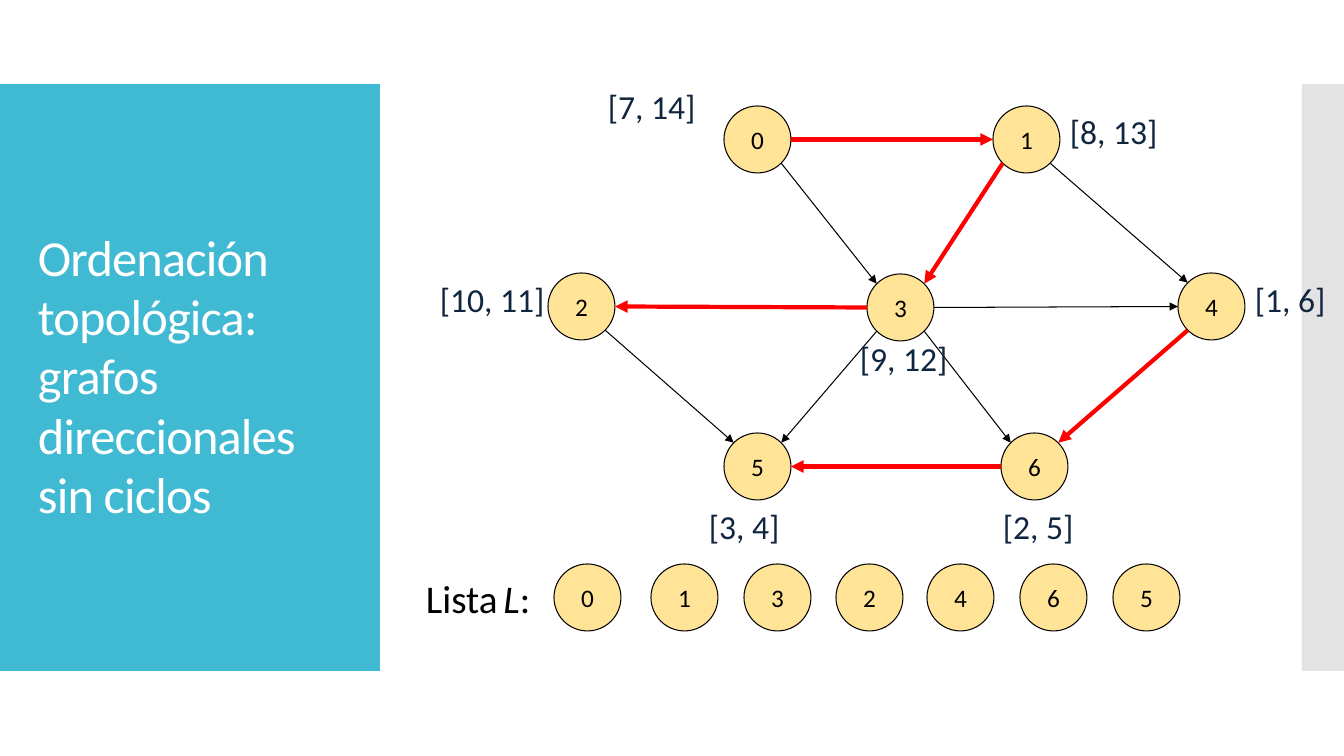
from pptx import Presentation
from pptx.dml.color import RGBColor
from pptx.enum.shapes import MSO_CONNECTOR, MSO_SHAPE
from pptx.enum.text import MSO_ANCHOR, PP_ALIGN
from pptx.oxml.ns import qn
from pptx.util import Pt
from lxml import etree

RECTANGLE, OVAL = MSO_SHAPE.RECTANGLE, MSO_SHAPE.OVAL
STRAIGHT = MSO_CONNECTOR.STRAIGHT
MIDDLE, CENTER = MSO_ANCHOR.MIDDLE, PP_ALIGN.CENTER

TEAL = RGBColor(0x40, 0xBA, 0xD2)
GRAY = RGBColor(0xC8, 0xC8, 0xC8)
YELLOW = RGBColor(0xFF, 0xE4, 0x97)
NAVY = RGBColor(0x10, 0x25, 0x3F)
RED = RGBColor(0xFF, 0x00, 0x00)
BLACK = RGBColor(0x00, 0x00, 0x00)
WHITE = RGBColor(0xFF, 0xFF, 0xFF)

FONT = "Calibri"
PX_PER_INCH = 100.8
DIAMETER = 67
NODES = {0: (294, 25), 1: (563, 25), 2: (118, 192), 3: (437, 193),
         4: (748, 192), 5: (294, 352), 6: (571, 352)}
INTERVALS = {0: ("[7, 14]", 168, 0), 1: ("[8, 13]", 630, 25),
             2: ("[10, 11]", 0, 193), 3: ("[9, 12]", 420, 252),
             4: ("[1, 6]", 815, 193), 5: ("[3, 4]", 269, 420),
             6: ("[2, 5]", 563, 420)}
TREE_EDGES = [(0, 1), (1, 3), (3, 2), (4, 6), (6, 5)]
OTHER_EDGES = [(0, 3), (3, 4), (3, 5), (3, 6), (1, 4), (2, 5)]
SORTED_NODES = {0: 127, 1: 224, 3: 317, 2: 409, 4: 500, 6: 593, 5: 686}


def px(*lengths):
    """Turn pixel lengths into EMU."""
    return [round(length * 914400 / PX_PER_INCH) for length in lengths]


def add_span(para, text, **formats):
    """Add a run with the given font values."""
    span = para.add_run()
    span.text = text
    color = formats.pop("color")
    for name, value in {"name": FONT, **formats}.items():
        setattr(span.font, name, value)
    span.font.color.rgb = color
    return span


def add_text_box(page, box, wrap):
    """Add an empty text box and return its frame."""
    frame = page.shapes.add_textbox(*px(*box)).text_frame
    frame.word_wrap = wrap
    return frame


def add_panel(page, box, color, opacity=100):
    """Add a plain rectangle without outline."""
    panel = page.shapes.add_shape(RECTANGLE, *px(*box))
    panel.shadow.inherit = False
    panel.fill.solid()
    panel.fill.fore_color.rgb = color
    panel.line.fill.background()
    if opacity < 100:
        tint = panel.fill._xPr.find(".//" + qn("a:srgbClr"))
        etree.SubElement(tint, qn("a:alpha"), val=str(opacity * 1000))


def add_node(page, left, top, number):
    """Add a numbered circle."""
    node = page.shapes.add_shape(OVAL, *px(left, top, DIAMETER, DIAMETER))
    node.shadow.inherit = False
    node.fill.solid()
    node.fill.fore_color.rgb = YELLOW
    node.line.color.rgb = BLACK
    node.line.width = Pt(0.75)
    frame = node.text_frame
    frame.word_wrap = False
    frame.vertical_anchor = MIDDLE
    para = frame.paragraphs[0]
    para.alignment = CENTER
    add_span(para, str(number), size=Pt(18), color=BLACK)


def edge_ends(start, end):
    """Find where an edge leaves one circle and meets the next."""
    radius = DIAMETER / 2
    dx, dy = end[0] - start[0], end[1] - start[1]
    across = radius if dx > 0 else -radius
    down = 0
    if abs(dy) > DIAMETER:
        across *= 0.71
        down = 0.71 * (radius if dy > 0 else -radius)
    return (start[0] + radius + across, start[1] + radius + down,
            end[0] + radius - across, end[1] + radius - down)


def add_edge(page, ends, color, width):
    """Add an arrow between two points."""
    edge = page.shapes.add_connector(STRAIGHT, *px(*ends))
    edge.line.color.rgb = color
    edge.line.width = Pt(width)
    etree.SubElement(edge.line._get_or_add_ln(), qn("a:tailEnd"), type="triangle")
    etree.SubElement(edge._element.spPr, qn("a:effectLst"))


def add_title_panel(page, left, top, width, height):
    """Place the coloured panel with the slide title."""
    add_panel(page, (left, top, width, height), TEAL)
    frame = add_text_box(page, (left + 28, top + 40, width - 55, height - 81), True)
    frame.vertical_anchor = MIDDLE
    para = frame.paragraphs[0]
    para.line_spacing = 0.98
    for index, text in enumerate(("Ordenación topológica:",
                                  "grafos direccionales sin ciclos")):
        if index:
            para.add_line_break()
        span = add_span(para, text, size=Pt(36), color=WHITE)
        span.font._element.set("spc", "-60")


def add_graph(page, left, top):
    """Place the graph with its edges and visit intervals."""
    places = {number: (left + x, top + y) for number, (x, y) in NODES.items()}
    for number, place in places.items():
        add_node(page, *place, number)
    for edges, color, width in ((OTHER_EDGES, BLACK, 0.75), (TREE_EDGES, RED, 3)):
        for start, end in edges:
            add_edge(page, edge_ends(places[start], places[end]), color, width)
    for text, x, y in INTERVALS.values():
        box = (left + x, top + y, 17 * len(text) - 10, 50)
        frame = add_text_box(page, box, False)
        add_span(frame.paragraphs[0], text, size=Pt(24), color=NAVY)


def add_sorted_list(page, left, top):
    """Place the list of nodes in topological order."""
    for number, x in SORTED_NODES.items():
        add_node(page, left + x, top, number)
    para = add_text_box(page, (left - 11, top + 5, 154, 57), True).paragraphs[0]
    for text, size, italic in (("Lista", 28, False), (" ", 18, False),
                               ("L", 28, True), (":", 28, False)):
        add_span(para, text, size=Pt(size), italic=italic, color=BLACK)


def main():
    """Build the slide and save it."""
    deck = Presentation()
    deck.slide_width, deck.slide_height = px(1344, 756)
    page = deck.slides.add_slide(deck.slide_layouts[6])
    add_title_panel(page, 0, 84, 380, 587)
    add_panel(page, (1302, 84, 42, 587), GRAY, opacity=50)
    add_graph(page, 430, 81)
    add_sorted_list(page, 427, 564)
    deck.save("out.pptx")


if __name__ == "__main__":
    main()
